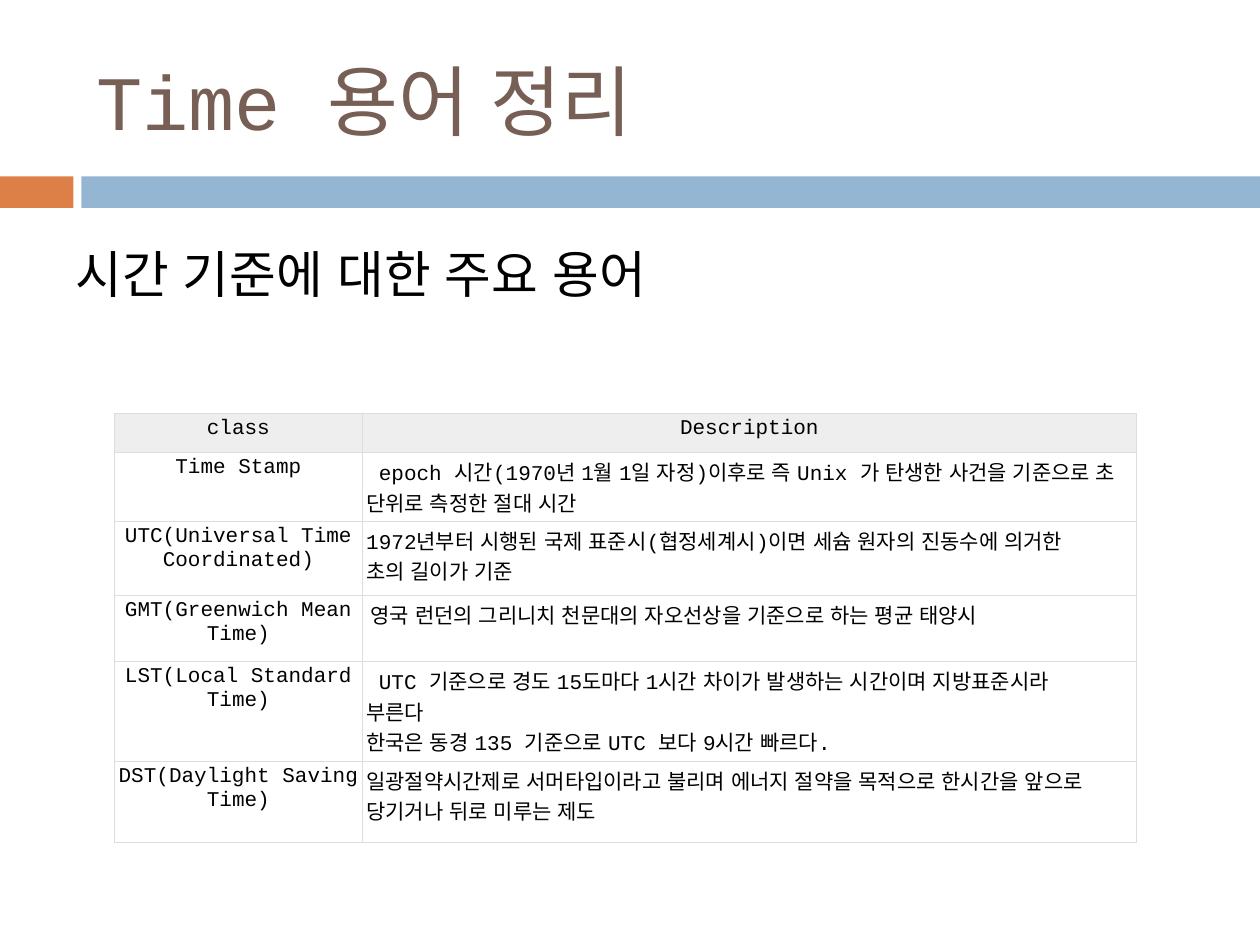
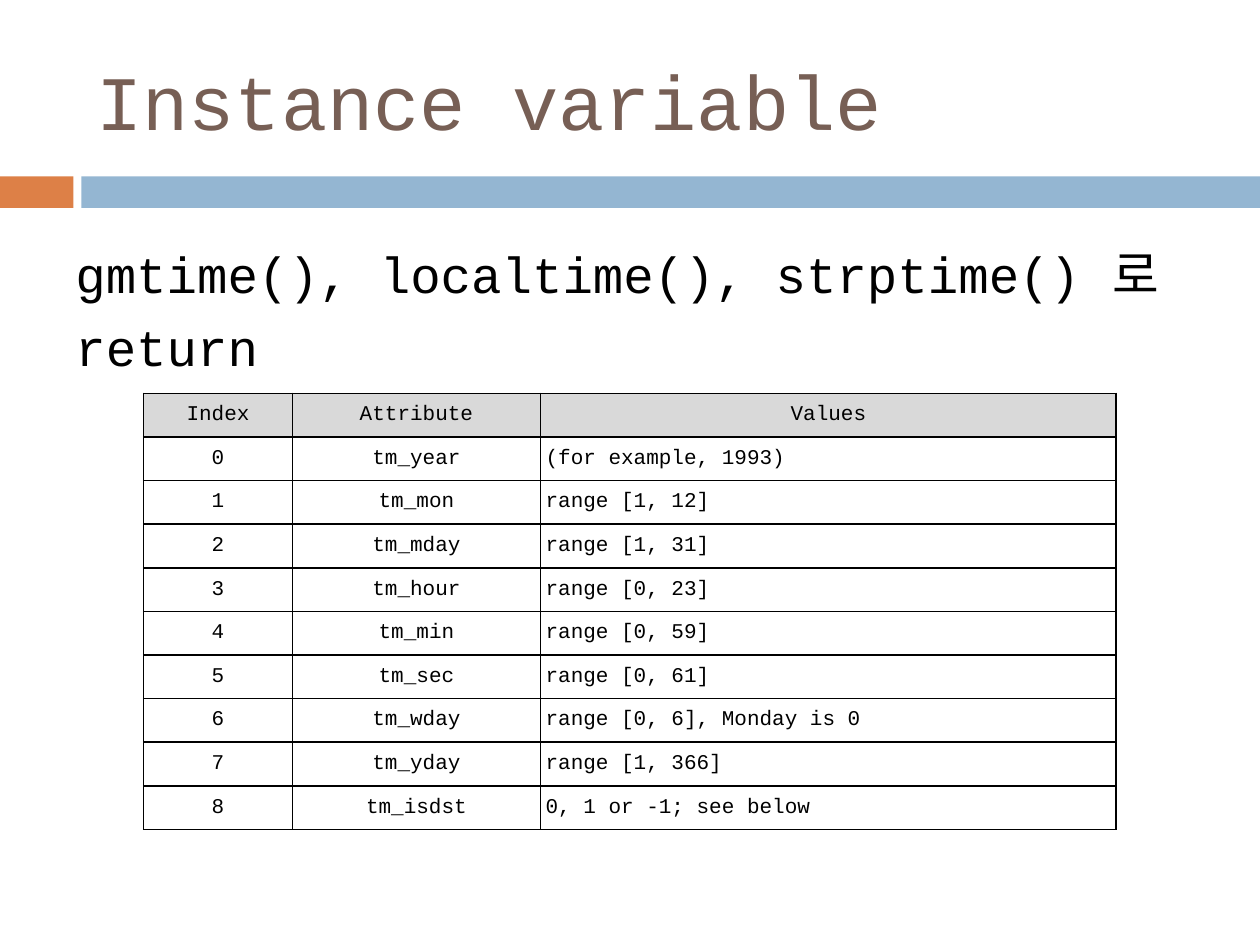
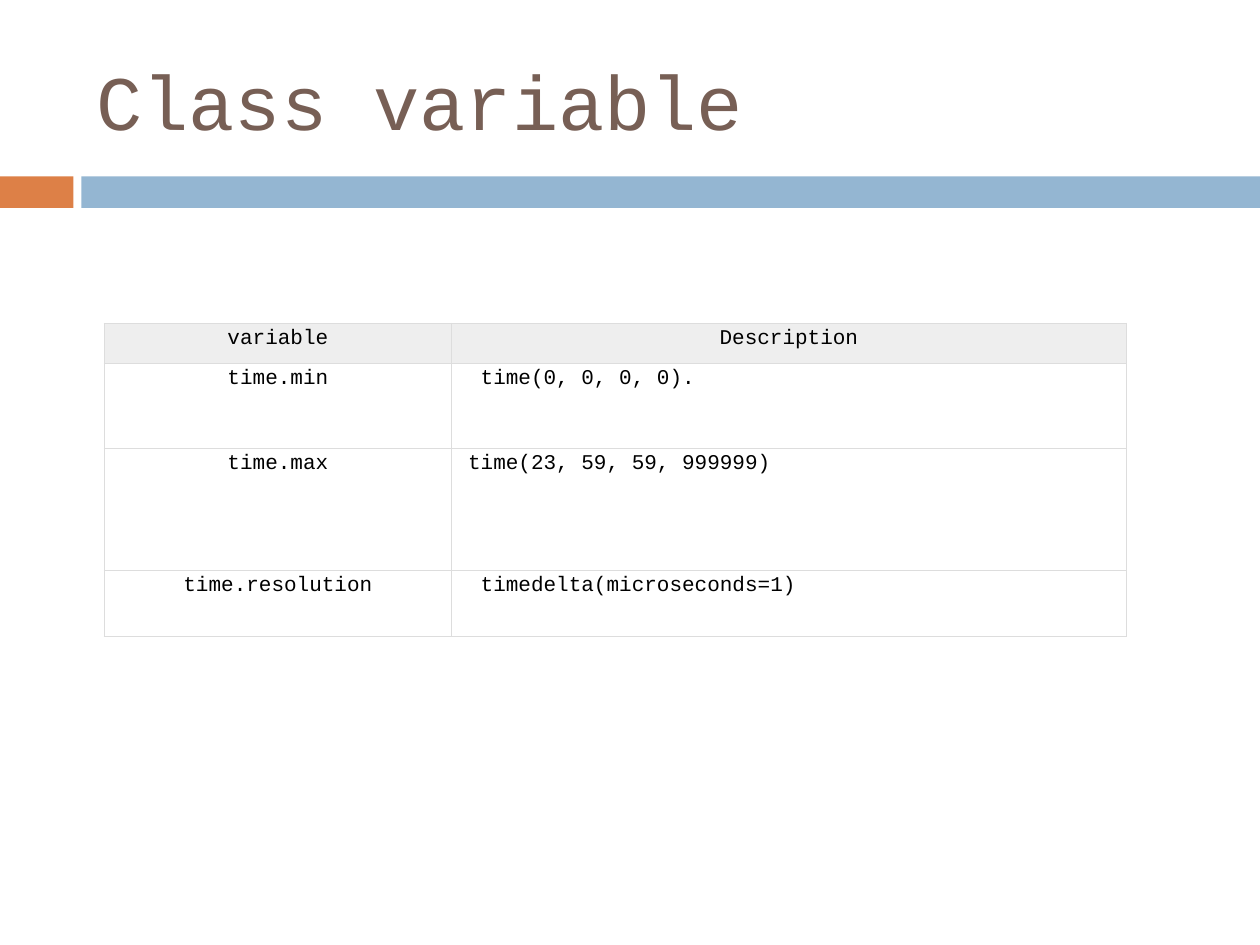
import collections

import lxml.etree
import pptx
import pptx.dml.color
import pptx.enum.lang
import pptx.enum.shapes
import pptx.enum.text
import pptx.oxml.ns
import pptx.util

Pt = pptx.util.Pt
ALIGN = pptx.enum.text.PP_ALIGN
ANCHOR = pptx.enum.text.MSO_ANCHOR
FONT = "Courier New"
COLORS = {
    "accent": "DD8047",
    "band": "94B6D2",
    "title": "775F55",
    "text": "000000",
    "light_header": "EEEEEE",
    "light_border": "DDDDDD",
    "gray_header": "D9D9D9",
    "dark_border": "000000",
}

Indented = collections.namedtuple("Indented", "text indent")
TableStyle = collections.namedtuple(
    "TableStyle", "header border border_width margin_x margin_y anchor"
)
LIGHT = TableStyle("light_header", "light_border", 0.6, 2.2, 2.2, ANCHOR.TOP)
GRID = TableStyle("gray_header", "dark_border", 1, 2.9, 1.4, ANCHOR.MIDDLE)

TERMS = [
    ("class", "Description"),
    ("Time Stamp", Indented(
        "epoch 시간(1970년 1월 1일 자정)이후로 즉 Unix 가 탄생한 사건을 "
        "기준으로 초 단위로 측정한 절대 시간", 7.2)),
    ("UTC(Universal Time Coordinated)",
     "1972년부터 시행된 국제 표준시(협정세계시)이면 세슘 원자의 진동수에 의거한\v"
     "초의 길이가 기준"),
    ("GMT(Greenwich Mean Time)", Indented(
        "영국 런던의 그리니치 천문대의 자오선상을 기준으로 하는 평균 태양시", 2.5)),
    ("LST(Local Standard Time)", [
        Indented("UTC 기준으로 경도 15도마다 1시간 차이가 발생하는 시간이며 "
                 "지방표준시라\v부른다", 7.2),
        "한국은 동경 135 기준으로 UTC 보다 9시간 빠르다."]),
    ("DST(Daylight Saving Time)",
     "일광절약시간제로 서머타입이라고 불리며 에너지 절약을 목적으로 한시간을 앞으로 "
     "당기거나 뒤로 미루는 제도"),
]
ATTRIBUTES = [
    ("tm_year", "(for example, 1993)"),
    ("tm_mon", "range [1, 12]"),
    ("tm_mday", "range [1, 31]"),
    ("tm_hour", "range [0, 23]"),
    ("tm_min", "range [0, 59]"),
    ("tm_sec", "range [0, 61]"),
    ("tm_wday", "range [0, 6], Monday is 0"),
    ("tm_yday", "range [1, 366]"),
    ("tm_isdst", "0, 1 or -1; see below"),
]
CLASS_VARIABLES = [
    ("variable", "Description"),
    ("time.min", Indented("time(0, 0, 0, 0).", 14.4)),
    ("time.max", Indented("time(23, 59, 59, 999999)", 7.2)),
    ("time.resolution", Indented("timedelta(microseconds=1)", 14.4)),
]


def rgb(name):
    return pptx.dml.color.RGBColor.from_string(COLORS[name])


def style_paragraph(paragraph, size, color):
    paragraph.font.name = FONT
    paragraph.font.size = Pt(size)
    paragraph.font.bold = False
    paragraph.font.color.rgb = rgb(color)
    for run in paragraph.runs:
        run.font.language_id = pptx.enum.lang.MSO_LANGUAGE_ID.KOREAN


def add_band(slide, left, width, color):
    shape = slide.shapes.add_shape(
        pptx.enum.shapes.MSO_SHAPE.RECTANGLE, Pt(left), Pt(100.8), Pt(width), Pt(18)
    )
    shape.shadow.inherit = False
    shape.fill.solid()
    shape.fill.fore_color.rgb = rgb(color)
    shape.line.fill.background()


def add_text(slide, text, box, size, color):
    shape = slide.shapes.add_textbox(*map(Pt, box))
    shape.text_frame.word_wrap = True
    paragraph = shape.text_frame.paragraphs[0]
    paragraph.text = text
    style_paragraph(paragraph, size, color)
    return shape.text_frame


def add_titled_slide(presentation, title):
    slide = presentation.slides.add_slide(presentation.slide_layouts[6])
    add_band(slide, 0, 42, "accent")
    add_band(slide, 46.5, 673.5, "band")
    frame = add_text(slide, title, (48, 18, 642.4, 78), 44, "title")
    frame.vertical_anchor = ANCHOR.MIDDLE
    return slide


def add_subtitle(slide, text):
    frame = add_text(slide, text, (36, 128.2, 648, 57), 29, "text")
    frame.paragraphs[0].line_spacing = 1.2


def add_borders(cell, color, width):
    properties = cell._tc.get_or_add_tcPr()
    qn = pptx.oxml.ns.qn
    for side in ("a:lnL", "a:lnR", "a:lnT", "a:lnB"):
        line = lxml.etree.SubElement(properties, qn(side), w=str(int(Pt(width))))
        fill = lxml.etree.SubElement(line, qn("a:solidFill"))
        lxml.etree.SubElement(fill, qn("a:srgbClr"), val=COLORS[color])


def fill_cell(cell, content, style, is_header, alignment):
    add_borders(cell, style.border, style.border_width)
    if is_header:
        cell.fill.solid()
        cell.fill.fore_color.rgb = rgb(style.header)
    else:
        cell.fill.background()
    cell.margin_left = cell.margin_right = Pt(style.margin_x)
    cell.margin_top = cell.margin_bottom = Pt(style.margin_y)
    cell.vertical_anchor = style.anchor
    frame = cell.text_frame
    items = content if isinstance(content, list) else [content]
    for index, item in enumerate(items):
        paragraph = frame.add_paragraph() if index else frame.paragraphs[0]
        if isinstance(item, Indented):
            properties = paragraph._p.get_or_add_pPr()
            properties.set("marL", "0")
            properties.set("indent", str(int(Pt(item.indent))))
            paragraph.text = item.text
        else:
            paragraph.text = item
        paragraph.alignment = alignment
        style_paragraph(paragraph, 12, "text")


def add_grid(slide, rows, left, top, widths, heights, style):
    table = slide.shapes.add_table(
        len(rows), len(widths), Pt(left), Pt(top), Pt(sum(widths)), Pt(sum(heights))
    ).table
    table.first_row = False
    table.horz_banding = False
    for column, width in zip(table.columns, widths):
        column.width = Pt(width)
    for row, height in zip(table.rows, heights):
        row.height = Pt(height)
    for row_index, row in enumerate(rows):
        for column_index, content in enumerate(row):
            is_header = row_index == 0
            centered = is_header or column_index < len(widths) - 1
            alignment = ALIGN.CENTER if centered else ALIGN.LEFT
            cell = table.cell(row_index, column_index)
            fill_cell(cell, content, style, is_header, alignment)


def main():
    presentation = pptx.Presentation()
    presentation.slide_width = Pt(720)
    presentation.slide_height = Pt(540)

    slide = add_titled_slide(presentation, "Time 용어 정리")
    add_subtitle(slide, "시간 기준에 대한 주요 용어")
    add_grid(slide, TERMS, 65.3, 236, (141.8, 442.2),
             (22.4, 39.4, 42.4, 37.8, 57.1, 46.2), LIGHT)

    slide = add_titled_slide(presentation, "Instance variable")
    add_subtitle(slide, "gmtime(), localtime(), strptime() 로 return")
    rows = [("Index", "Attribute", "Values")]
    rows += [(str(index), *attribute) for index, attribute in enumerate(ATTRIBUTES)]
    add_grid(slide, rows, 82.1, 224.8, (85, 141.8, 329), [24.92] * len(rows), GRID)

    slide = add_titled_slide(presentation, "Class variable")
    add_grid(slide, CLASS_VARIABLES, 59.5, 184.8, (198.6, 385.4),
             (22.8, 48.6, 69.8, 38), LIGHT)

    presentation.save("out.pptx")


if __name__ == "__main__":
    main()
